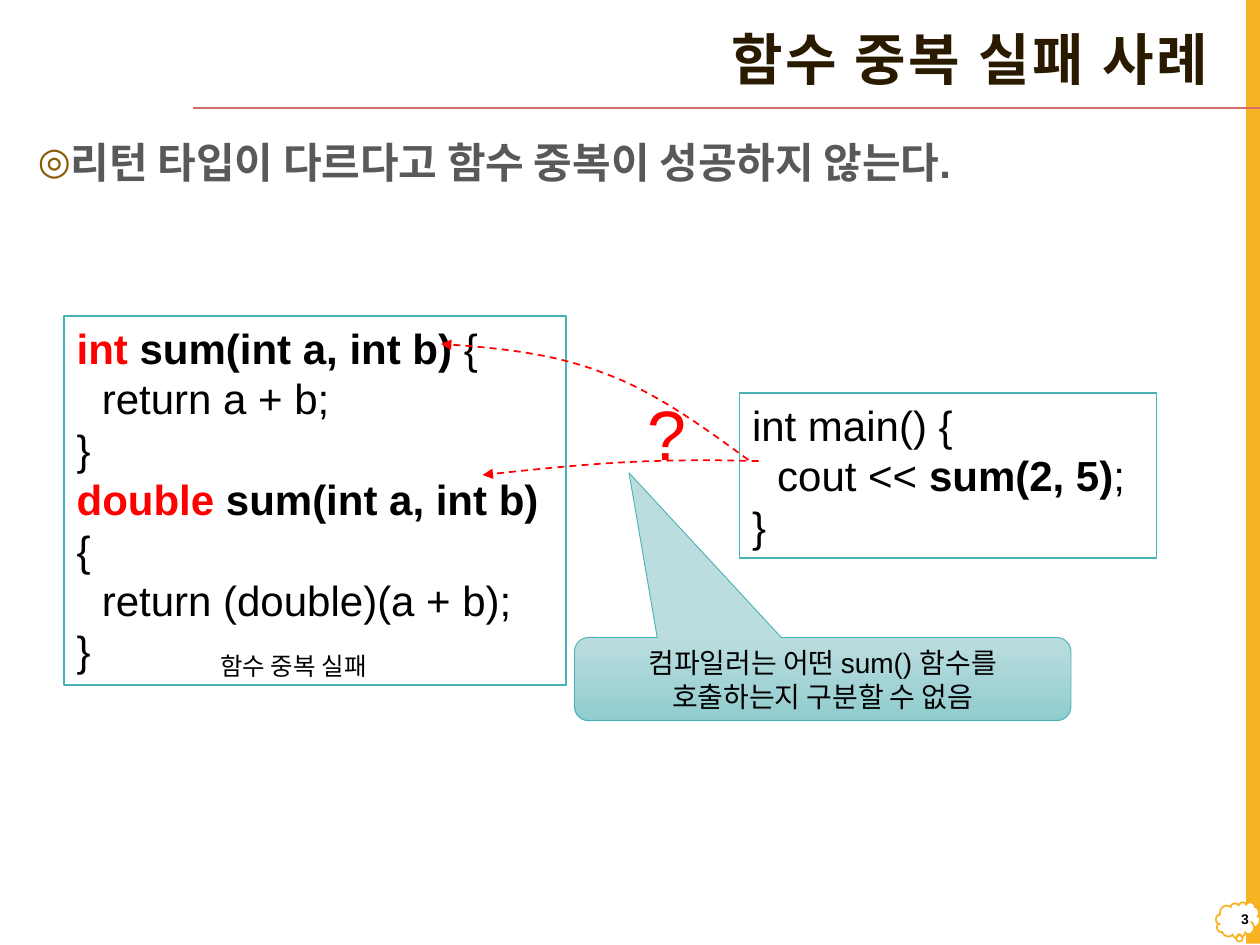
"""Build the slide on why overloading by return type alone fails."""
from lxml import etree
from pptx import Presentation
from pptx.dml.color import RGBColor
from pptx.enum.dml import MSO_LINE
from pptx.enum.shapes import MSO_CONNECTOR, MSO_SHAPE
from pptx.enum.text import MSO_ANCHOR, PP_ALIGN
from pptx.oxml.ns import qn
from pptx.util import Inches, Pt

DASH = MSO_LINE.DASH
STRAIGHT = MSO_CONNECTOR.STRAIGHT
RECTANGLE, CLOUD = MSO_SHAPE.RECTANGLE, MSO_SHAPE.CLOUD_CALLOUT
CALLOUT = MSO_SHAPE.ROUNDED_RECTANGULAR_CALLOUT
TOP, MIDDLE = MSO_ANCHOR.TOP, MSO_ANCHOR.MIDDLE
LEFT, CENTER, RIGHT = PP_ALIGN.LEFT, PP_ALIGN.CENTER, PP_ALIGN.RIGHT
COLUMNS, ROWS, CELL = 100, 75, Inches(0.1)
BLACK, RED, WHITE, AMBER, TEAL = "000000", "FF0000", "FFFFFF", "F8B323", "46B2B5"
color = RGBColor.from_string


def grid(*cells):
    return [round(cell * CELL) for cell in cells]


def write(frame, lines, size, align=LEFT, anchor=TOP, wrap=True, spacing=1.0, font="Arial"):
    frame.word_wrap, frame.vertical_anchor = wrap, anchor
    for index, line in enumerate(lines):
        paragraph = frame.add_paragraph() if index else frame.paragraphs[0]
        paragraph.alignment, paragraph.line_spacing = align, spacing
        paragraph.space_before = Pt(0)
        for words, shade, bold in line:
            run = paragraph.add_run()
            run.text = words
            run.font.name, run.font.size, run.font.bold = font, Pt(size), bold
            run.font.color.rgb = color(shade)


deck = Presentation()
deck.slide_width, deck.slide_height = grid(COLUMNS, ROWS)
slide = deck.slides.add_slide(deck.slide_layouts[1])
shapes = slide.shapes

for preset, place, fill, edge in (
    (RECTANGLE, (98.9, -0.1, 1.1, 75), AMBER, None),
    (CLOUD, (96.5, 71.6, 3.5, 2.9), WHITE, AMBER),
):
    decoration = shapes.add_shape(preset, *grid(*place))
    decoration.shadow.inherit = False
    decoration.fill.solid()
    decoration.fill.fore_color.rgb = color(fill)
    if edge:
        decoration.line.color.rgb = color(edge)
        decoration.line.width = Pt(1)
        decoration.adjustments[0], decoration.adjustments[1] = 0.03, 0.43
    else:
        decoration.line.fill.background()

title_rule = shapes.add_connector(STRAIGHT, *grid(COLUMNS, 8.6, 15.3, 8.6))
title_rule.line.color.rgb = color("D36F68")
title_rule.line.width = Pt(1)
etree.SubElement(title_rule._element.spPr, qn("a:effectLst"))

title, body = shapes.title, slide.placeholders[1]
for holder, place in ((title, (13.2, 1.3, 83.7, 7.3)), (body, (2, 9.9, 95.3, 63.8))):
    holder.left, holder.top, holder.width, holder.height = grid(*place)

write(title.text_frame, [[("함수 중복 실패 사례", "2A1A00", True)]], 32,
      RIGHT, MIDDLE, spacing=0.9, font="Arial Narrow")
title.text_frame.paragraphs[0].runs[0].font._element.set("spc", "150")

write(body.text_frame, [[("리턴 타입이 다르다고 함수 중복이 성공하지 않는다.", "595959", True)]],
      24, spacing=1.1)
bullet = body.text_frame.paragraphs[0]._p.get_or_add_pPr()
bullet.set("marL", str(Inches(0.25)))
bullet.set("indent", str(-Inches(0.25)))
bullet_color = etree.SubElement(bullet, qn("a:buClr"))
etree.SubElement(bullet_color, qn("a:srgbClr"), val="895E04")
etree.SubElement(bullet, qn("a:buSzPct"), val="90000")
etree.SubElement(bullet, qn("a:buFont"), typeface="Arial")
etree.SubElement(bullet, qn("a:buChar"), char="◎")

overloads = [
    [("int ", RED, True), ("sum(int a, int b) ", BLACK, True), ("{", BLACK, False)],
    [("\treturn a + b;", BLACK, False)],
    [("}", BLACK, False)],
    [("double ", RED, True), ("sum(int a, int b) ", BLACK, True), ("{", BLACK, False)],
    [("\treturn (double)(a + b);", BLACK, False)],
    [("}", BLACK, False)],
]
caller = [
    [("int main() {", BLACK, False)],
    [("\tcout << ", BLACK, False), ("sum(2, 5)", BLACK, True), (";", BLACK, False)],
    [("}", BLACK, False)],
]
for code, place in ((overloads, (5.1, 25.1, 39.8, 29.3)), (caller, (58.7, 31.2, 33.1, 13.1))):
    listing = shapes.add_shape(RECTANGLE, *grid(*place))
    listing.shadow.inherit = False
    listing.fill.solid()
    listing.fill.fore_color.rgb = color(WHITE)
    listing.line.color.rgb = color(TEAL)
    listing.line.width = Pt(1)
    write(listing.text_frame, code, 24)
    for paragraph in listing.text_frame.paragraphs:
        tabs = etree.SubElement(paragraph._p.get_or_add_pPr(), qn("a:tabLst"))
        etree.SubElement(tabs, qn("a:tab"), pos=str(Inches(0.2)), algn="l")

STEPS = 16
for start, *curves in (
    ((59.4, 36.5), ((55.7, 33.8), (52, 31.1), (47.9, 29.6)),
     ((43.8, 28), (39.4, 27.6), (35, 27.3))),
    ((60.2, 36.6), ((56.7, 36.5), (53.1, 36.5), (49.4, 36.7)),
     ((45.8, 36.9), (42, 37.3), (38.3, 37.7))),
):
    outline = shapes.build_freeform(*grid(*start), scale=1.0)
    begin = start
    for first, second, end in curves:
        points = []
        for step in range(1, STEPS + 1):
            t = step / STEPS
            weights = ((1 - t) ** 3, 3 * t * (1 - t) ** 2, 3 * t * t * (1 - t), t ** 3)
            points.append(grid(*(sum(w * v for w, v in zip(weights, axis))
                                 for axis in zip(begin, first, second, end))))
        outline.add_line_segments(points, close=False)
        begin = end
    call_arrow = outline.convert_to_shape()
    call_arrow.shadow.inherit = False
    call_arrow.fill.background()
    call_arrow.line.color.rgb = color(RED)
    call_arrow.line.width = Pt(1)
    call_arrow.line.dash_style = DASH
    etree.SubElement(call_arrow.line._get_or_add_ln(), qn("a:tailEnd"), type="triangle")

explanation = shapes.add_shape(CALLOUT, *grid(45.6, 50.6, 39.4, 6.6))
explanation.shadow.inherit = False
for index, share in enumerate((-0.39, -2.48, 0.17)):
    explanation.adjustments[index] = share
explanation.fill.gradient()
explanation.fill.gradient_angle = 270
for stop, position, shade in zip(explanation.fill.gradient_stops, (0, 1), ("BCDDDF", "90CCCE")):
    stop.position, stop.color.rgb = position, color(shade)
explanation.line.color.rgb = color(TEAL)
explanation.line.width = Pt(0.5)
write(explanation.text_frame,
      [[("컴파일러는 어떤 sum() 함수를 호출하는지 구분할 수 없음", BLACK, False)]],
      16, CENTER, MIDDLE)

for words, place, size, shade, bold, align, anchor in (
    ("함수 중복 실패", (16.5, 51.2, 15.2, 3.4), 14, BLACK, False, LEFT, TOP),
    ("?", (50.4, 30.5, 4.6, 7.7), 40, RED, False, LEFT, TOP),
    ("3", (96.6, 71.2, 3.5, 3.5), 8, BLACK, True, RIGHT, MIDDLE),
):
    label = shapes.add_textbox(*grid(*place))
    write(label.text_frame, [[(words, shade, bold)]], size, align, anchor, wrap=align == RIGHT)

deck.save("out.pptx")
